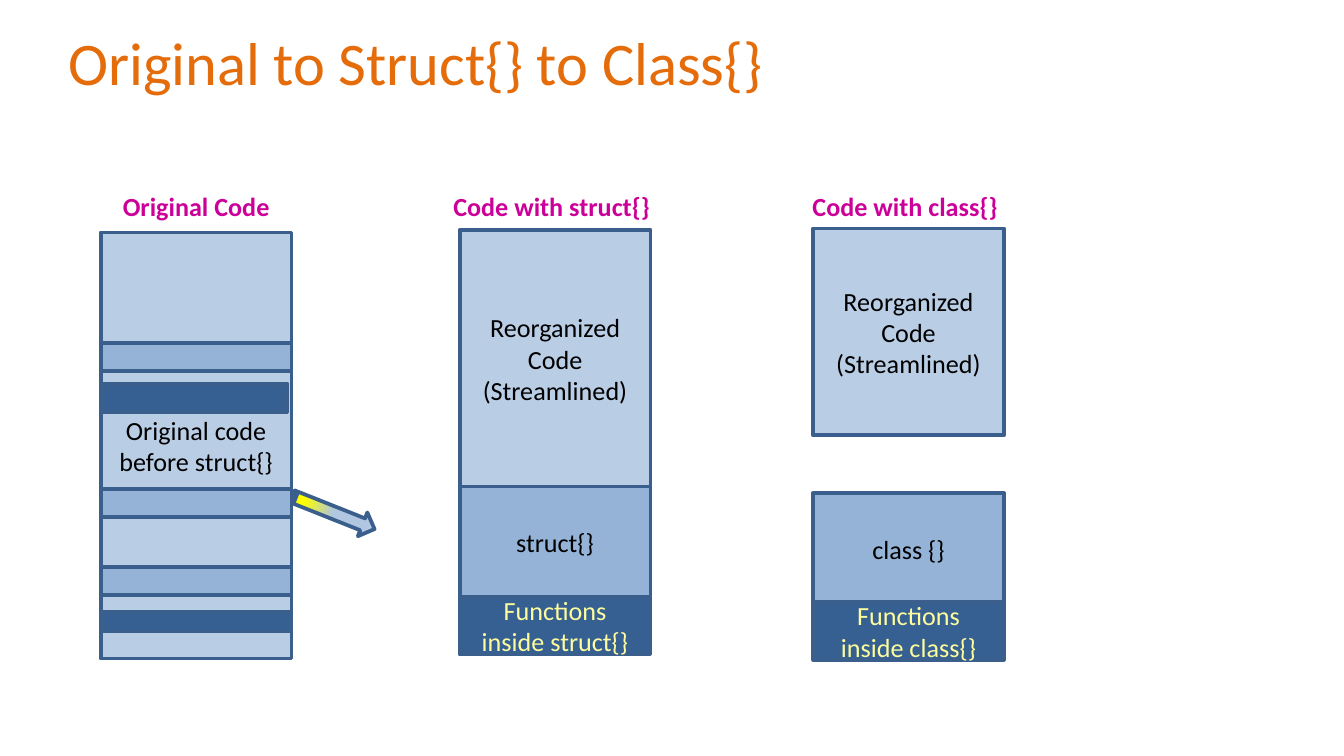
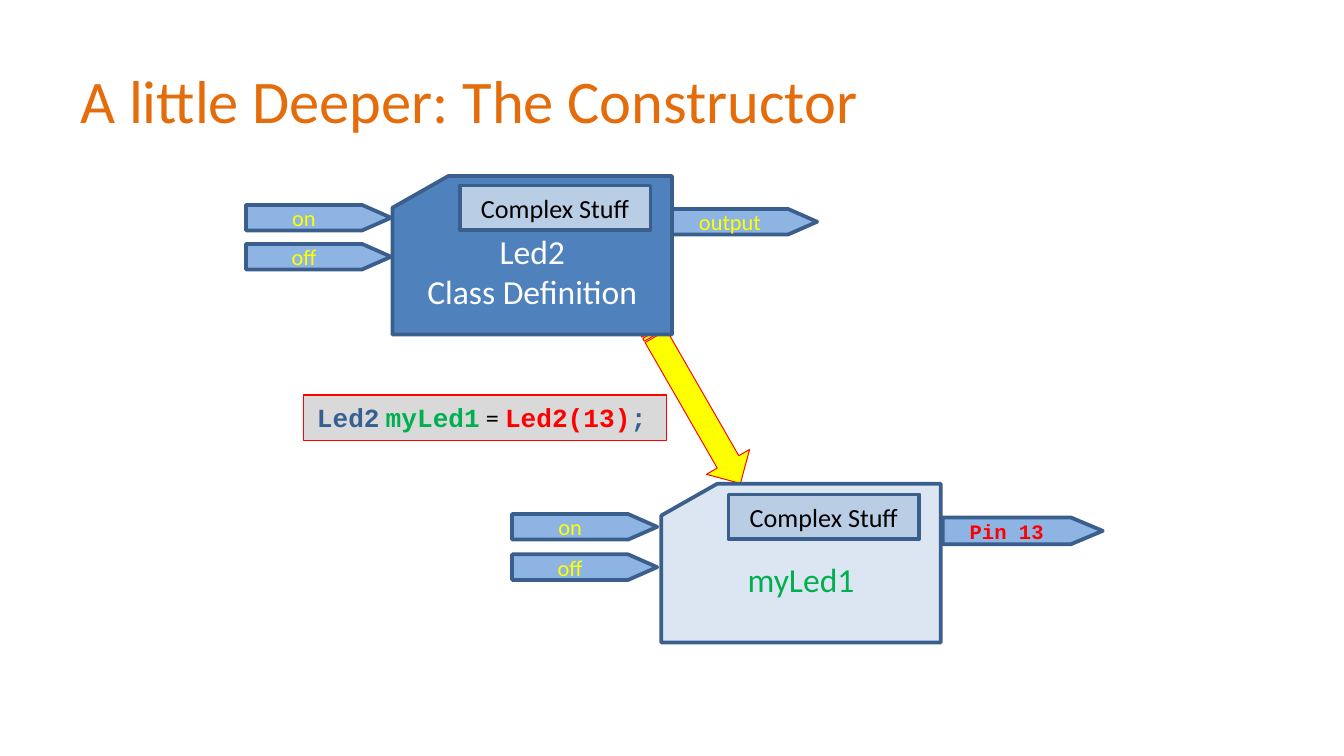
from dataclasses import dataclass
from lxml.etree import SubElement
from pptx import Presentation
from pptx.dml.color import RGBColor
from pptx.enum.shapes import MSO_SHAPE as Kind
from pptx.enum.text import MSO_ANCHOR as Anchor, MSO_AUTO_SIZE as Auto, PP_ALIGN as Align
from pptx.oxml.ns import qn
from pptx.util import Inches, Pt


@dataclass(frozen=True)
class Theme:
    """Colours, fonts and type sizes of the deck."""
    sans: str = "Calibri"
    mono: str = "Courier New"
    title: str = "E46C0A"
    head: str = "CC0099"
    edge: str = "3A5F8C"
    pale: str = "B9CDE5"
    mid: str = "95B3D7"
    dark: str = "376092"
    card: str = "4F81BD"
    ghost: str = "DCE6F2"
    flag: str = "8EB4E3"
    grey: str = "D9D9D9"
    cream: str = "FDFD9D"
    yellow: str = "FFFF00"
    red: str = "FF0000"
    green: str = "00B050"
    black: str = "000000"
    white: str = "FFFFFF"
    fade: tuple = ((21, "FFFF00"), (50, "B0C6E1"), (83, "B0C6E1"), (100, "CAD9EB"))
    big: float = 32.4
    large: float = 18
    body: float = 14
    small: float = 12
    tiny: float = 11


T = Theme()


def apply(item, **values):
    """Set each named attribute of an object."""
    for name, value in values.items():
        setattr(item, name, value)


def write(shape, lines, align=Align.CENTER, anchor=Anchor.MIDDLE, auto=Auto.NONE, **look):
    """Fill a shape with lines, each a string or a list of (text, look) runs."""
    frame = shape.text_frame
    apply(frame, word_wrap=True, vertical_anchor=anchor, auto_size=auto)
    for index, line in enumerate(lines):
        para = frame.add_paragraph() if index else frame.paragraphs[0]
        para.alignment = align
        for text, extra in [(line, {})] if isinstance(line, str) else line:
            form = {"name": T.sans, "size": T.body, "bold": False, "color": T.black, **look, **extra}
            run = para.add_run()
            run.text = text
            run.font.color.rgb = RGBColor.from_string(form.pop("color"))
            apply(run.font, **{**form, "size": Pt(form["size"])})


def label(slide, box, text, **look):
    """Add a text box with one line."""
    write(slide.shapes.add_textbox(*map(Inches, box)), [text], **look)


def head(slide, x, wide, text):
    """Add the heading of a column."""
    label(slide, (x, 1.37, wide, 0.34), text, color=T.head, bold=True,
          anchor=Anchor.TOP, auto=Auto.SHAPE_TO_FIT_TEXT)


def block(home, box, fill, lines=(), kind=Kind.RECTANGLE, edge=T.edge, width=2, turn=0, **look):
    """Add an outlined shape with optional text."""
    shape = home.shapes.add_shape(kind, *map(Inches, box))
    apply(shape, rotation=turn)
    shape.shadow.inherit = False
    shape.fill.solid()
    shape.fill.fore_color.rgb = RGBColor.from_string(fill)
    shape.line.color.rgb = RGBColor.from_string(edge)
    shape.line.width = Pt(width)
    if lines:
        write(shape, lines, **look)
    return shape


def blend(shape, stops):
    """Give a shape a level gradient with the given stops."""
    shape.fill.gradient()
    shape.fill.gradient_angle = 0
    track = shape.element.spPr.find(qn("a:gradFill")).find(qn("a:gsLst"))
    for stop in list(track):
        track.remove(stop)
    for place, color in stops:
        stop = SubElement(track, qn("a:gs"), pos=str(place * 1000))
        SubElement(stop, qn("a:srgbClr"), val=color)


def flag(home, x, y, text, long=1.08, wide=0.19, **look):
    """Add a pointer to the right, centred on x and y, with level text."""
    box = (x - wide / 2, y - long / 2, wide, long)
    form = {"size": T.small, "color": T.yellow, **look}
    shape = block(home, box, T.flag, [text], Kind.FLOWCHART_OFFPAGE_CONNECTOR, turn=270, **form)
    shape.element.find(".//" + qn("a:bodyPr")).set("vert", "vert")


def card(slide, x, y, fill, lines, color, flags, drop):
    """Add a grouped punched card with its inner tag and flags."""
    group = slide.shapes.add_group_shape()
    block(group, (x, y, 2.08, 1.18), fill, lines, Kind.FLOWCHART_CARD, size=T.large, color=color)
    block(group, (x + 0.5, y + drop, 1.42, 0.33), T.pale, ["Complex Stuff"])
    for place, look in flags:
        flag(group, *place, **look)


def stack(slide, x, name, parts):
    """Add a headed column of code blocks."""
    head(slide, x - 0.19, 1.75, name)
    fills = ((T.pale, T.black), (T.mid, T.black), (T.dark, T.cream))
    for (top, high, lines), (fill, color) in zip(parts, fills):
        block(slide, (x, top, 1.42, high), fill, lines, color=color)


def page(deck, x, y, high, text):
    """Add a blank slide with a title."""
    slide = deck.slides.add_slide(deck.slide_layouts[6])
    label(slide, (x, y, 7.67, high), text, size=T.big, color=T.title, align=Align.LEFT)
    return slide


def code(deck):
    """Build the slide on the way from plain code to a class."""
    slide = page(deck, 0.41, 0.19, 0.54, "Original to Struct{} to Class{}")
    block(slide, (0.75, 1.73, 1.42, 3.17), T.pale, ["Original code before struct{}"])
    neat = ["Reorganized", "Code (Streamlined)"]
    stack(slide, 3.42, "Code with struct{}", (
        (1.71, 1.92, neat), (3.62, 0.83, ["struct{}"]), (4.44, 0.43, ["Functions inside struct{}"])))
    arrow = block(slide, (2.15, 3.72, 0.66, 0.19), T.pale, kind=Kind.STRIPED_RIGHT_ARROW, turn=21.7)
    blend(arrow, T.fade)
    head(slide, 0.75, 1.42, "Original Code")
    stack(slide, 6.05, "Code with class{}", (
        (1.7, 1.54, neat), (3.67, 0.83, ["class {}"]), (4.48, 0.43, ["Functions inside class{}"])))
    for top in (3.64, 4.22, 2.55):
        block(slide, (0.75, top, 1.42, 0.21), T.mid)
    for x, top, wide, high in ((0.75, 4.55, 1.42, 0.15), (0.76, 2.86, 1.38, 0.21)):
        block(slide, (x, top, wide, high), T.dark)


def maker(deck):
    """Build the slide on the constructor."""
    slide = page(deck, 0.5, 0.41, 0.66, "A little Deeper: The Constructor")
    block(slide, (4.52, 2.84, 1.32, 0.37), T.yellow, kind=Kind.STRIPED_RIGHT_ARROW,
          edge=T.red, width=0.5, turn=60.1)
    plain = {"name": T.sans, "bold": False}
    call = [("Led2", {"color": T.dark}), (" ", plain), ("myLed1", {"color": T.green}),
            (" = ", plain), ("Led2(13)", {"color": T.red}), (";", {"color": T.dark})]
    block(slide, (2.26, 2.94, 2.7, 0.34), T.grey, [call], edge=T.red, width=0.75,
          align=Align.LEFT, anchor=Anchor.TOP, auto=Auto.SHAPE_TO_FIT_TEXT, name=T.mono, bold=True)
    card(slide, 2.92, 1.31, T.card, ["Led2", "Class Definition"], T.white, (
        ((5.54, 1.65, "output"), {}), ((2.37, 1.62, "on"), {}), ((2.37, 1.91, "off"), {})), 0.07)
    pin = {"long": 1.19, "wide": 0.2, "name": T.mono, "size": T.tiny, "color": T.red, "bold": True}
    card(slide, 4.92, 3.6, T.ghost, ["myLed1"], T.green, (
        ((7.61, 3.95, "Pin 13"), pin), ((4.35, 3.92, "on"), {}), ((4.35, 4.22, "off"), {})), 0.08)


def main():
    """Build and save the deck."""
    deck = Presentation()
    apply(deck, slide_width=Inches(10), slide_height=Inches(10 * 9 / 16))
    code(deck)
    maker(deck)
    deck.save("out.pptx")


if __name__ == "__main__":
    main()
